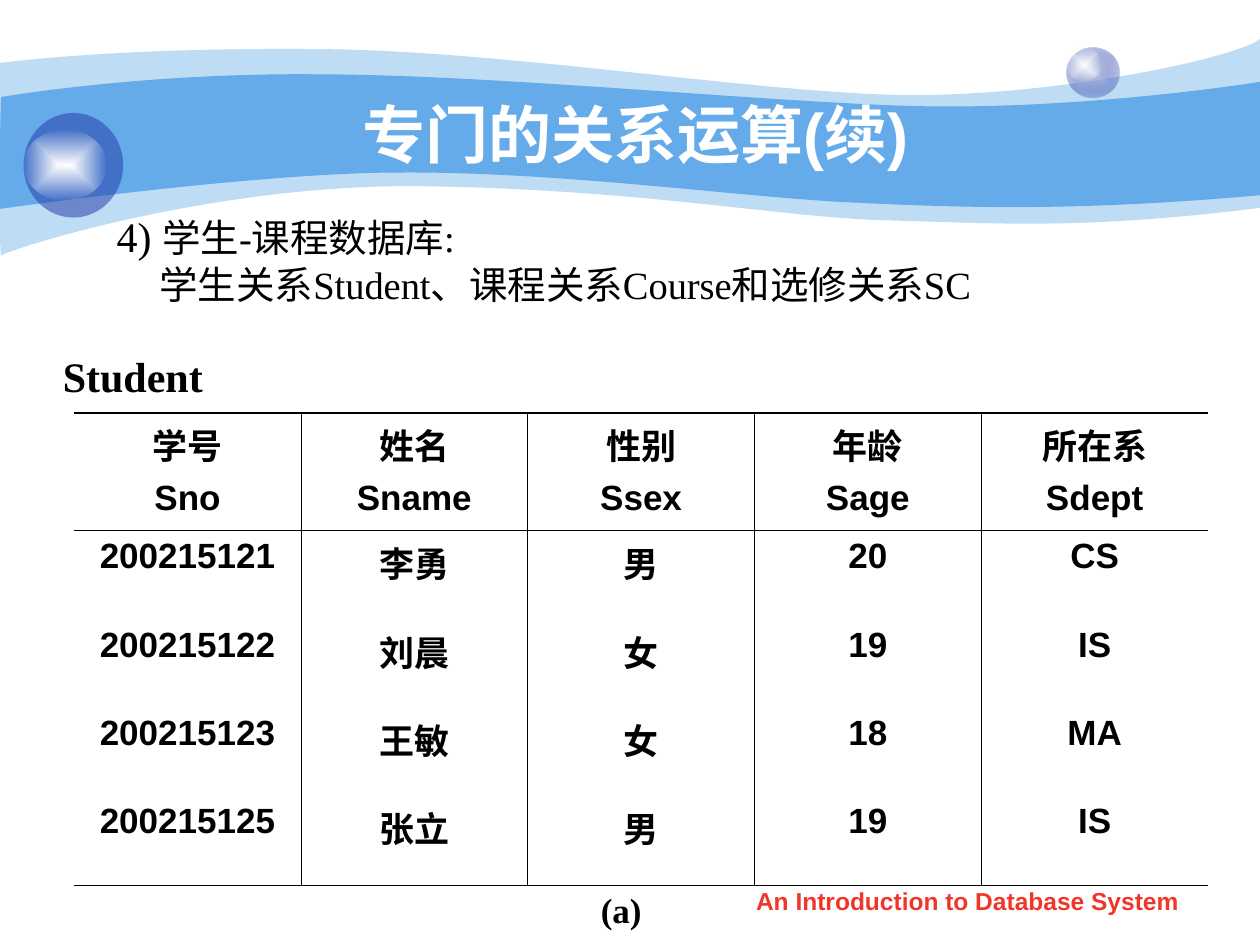
from pptx import Presentation
from pptx.dml.color import RGBColor
from pptx.enum.shapes import MSO_SHAPE
from pptx.enum.text import MSO_ANCHOR, PP_ALIGN
from pptx.oxml import parse_xml
from pptx.oxml.ns import nsdecls, qn
from pptx.util import Inches, Pt

ELLIPSE = MSO_SHAPE.OVAL
TOP, MIDDLE = MSO_ANCHOR.TOP, MSO_ANCHOR.MIDDLE
LEFT, CENTER = PP_ALIGN.LEFT, PP_ALIGN.CENTER

WIDTH, HEIGHT = Inches(10), Inches(7.5)
GRID_COLUMNS, GRID_ROWS = 100, 75
SANS, SERIF = "Arial", "Times New Roman"
BLACK, WHITE, PEARL, RED = "000000", "FFFFFF", "FEFEFE", "F03628"
SKY, INDIGO, LAVENDER = "65AAE9", "233DA9", "C6CCE8"
THIN, THICK = 0.45, 1.08

OUTER_BAND = [
    [(0, 5)],
    [(2.4, 4.7), (10.7, 3.8), (24.7, 3.9)],
    [(38.6, 3.9), (57.5, 7), (69.9, 7.5)],
    [(82.2, 8), (98, 4.7), (100, 3.1)],
    [(100, 16.5)],
    [(85.8, 18.3), (78.7, 17.7), (70.5, 17.5)],
    [(62.2, 17.3), (51.5, 15.1), (34.3, 14.8)],
    [(17.2, 14.4), (0.4, 19.9), (0.1, 20.3)],
    [(-0.1, 20.8), (0, 7.5), (0, 5)],
]
INNER_BAND = [
    [(0.1, 7.7)],
    [(0.2, 7.7), (11, 5.8), (24.8, 5.9)],
    [(38.6, 5.9), (59.5, 8), (71.8, 8.4)],
    [(84.1, 8.8), (97.6, 6.9), (100, 6.5)],
    [(100, 15.5)],
    [(85.3, 16.8), (76.5, 16.5), (68.2, 16.1)],
    [(59.9, 15.8), (44.7, 13.6), (31.7, 13.7)],
    [(20.3, 13.7), (-0.2, 16.6), (-0.1, 16.6)],
    [(0, 16.6), (0, 7.7), (0.1, 7.7)],
]
STUDENT_HEADINGS = [
    ("学号", "Sno"), ("姓名", "Sname"), ("性别", "Ssex"), ("年龄", "Sage"), ("所在系", "Sdept"),
]
STUDENTS = [
    ("200215121", "李勇", "男", "20", "CS"),
    ("200215122", "刘晨", "女", "19", "IS"),
    ("200215123", "王敏", "女", "18", "MA"),
    ("200215125", "张立", "男", "19", "IS"),
]
STUDENT_ROW_HEIGHTS = (9.3, 7.1, 7, 7, 7.1)


def color(value):
    return RGBColor.from_string(value)


def column(count):
    return round(count * WIDTH / GRID_COLUMNS)


def row(count):
    return round(count * HEIGHT / GRID_ROWS)


def place(left, top, width, height):
    return column(left), row(top), column(width), row(height)


def clear_outline(shape):
    shape.line.fill.background()
    shape.shadow.inherit = False


def fill_solid(shape, value, opacity=100):
    shape.fill.solid()
    shape.fill.fore_color.rgb = color(value)
    if opacity < 100:
        tint = shape.element.spPr.find(qn("a:solidFill")).find(qn("a:srgbClr"))
        tint.append(parse_xml(f'<a:alpha {nsdecls("a")} val="{opacity * 1000}"/>'))


def fill_glow(shape, inner, outer, opacity):
    shape.element.spPr.insert(2, parse_xml(
        f'<a:gradFill {nsdecls("a")} rotWithShape="1"><a:gsLst>'
        f'<a:gs pos="0"><a:srgbClr val="{inner}"/></a:gs>'
        f'<a:gs pos="100000"><a:srgbClr val="{outer}">'
        f'<a:alpha val="{opacity * 1000}"/></a:srgbClr></a:gs></a:gsLst>'
        '<a:path path="rect"><a:fillToRect l="50000" t="50000" r="50000" b="50000"/></a:path>'
        '</a:gradFill>'
    ))


def bend_segments(shape, segments):
    lines = iter(list(shape.element.spPr.iter(qn("a:lnTo"))))
    for segment in segments:
        group = [next(lines) for _ in segment]
        if len(group) == 3:
            curve = parse_xml(f'<a:cubicBezTo {nsdecls("a")}/>')
            group[0].addprevious(curve)
            for line in group:
                curve.append(line[0])
                line.getparent().remove(line)


def add_band(page, outline, opacity):
    (x, y), = outline[0]
    segments = outline[1:]
    builder = page.shapes.build_freeform(column(x), row(y))
    builder.add_line_segments(
        [(column(x), row(y)) for segment in segments for x, y in segment], close=True
    )
    band = builder.convert_to_shape()
    bend_segments(band, segments)
    fill_solid(band, SKY, opacity)
    clear_outline(band)


def add_ball(group, area):
    ball = group.shapes.add_shape(ELLIPSE, *place(*area))
    clear_outline(ball)
    return ball


def add_balls(page):
    small = page.shapes.add_group_shape()
    fill_glow(add_ball(small, (84.65, 3.75, 4.2, 4)), LAVENDER, INDIGO, 31)
    fill_glow(add_ball(small, (84.65, 3.75, 2.8, 2.7)), WHITE, PEARL, 0)
    large = page.shapes.add_group_shape()
    fill_solid(add_ball(large, (1.87, 8.97, 7.9, 8.3)), INDIGO, 53)
    fill_glow(add_ball(large, (1.87, 10.3, 6.6, 5.6)), WHITE, PEARL, 0)


def style(font, size, face, value, bold):
    font.size, font.name, font.bold = Pt(size), face, bold
    font.color.rgb = color(value)


def add_label(page, area, text, size, face, value=BLACK, align=CENTER, anchor=TOP):
    box = page.shapes.add_textbox(*place(*area))
    box.text_frame.word_wrap = True
    box.text_frame.vertical_anchor = anchor
    para = box.text_frame.paragraphs[0]
    para.text = text
    para.alignment = align
    style(para.font, size, face, value, True)


def add_introduction(page):
    box = page.shapes.add_textbox(*place(8.28, 16.2, 81.9, 8.7))
    frame = box.text_frame
    frame.word_wrap = True
    opening = frame.paragraphs[0]
    for text, size in (("4) ", 24), ("学生-课程数据库:", 22)):
        span = opening.add_run()
        span.text = text
        style(span.font, size, SERIF, BLACK, False)
    detail = frame.add_paragraph()
    detail.text = "学生关系Student、课程关系Course和选修关系SC"
    detail._p.get_or_add_pPr().set("marL", str(column(3.4)))
    style(detail.font, 22, SERIF, BLACK, False)


def set_borders(cell, widths):
    properties = cell._tc.get_or_add_tcPr()
    for side, width in zip("LRTB", widths):
        paint = f'<a:solidFill><a:srgbClr val="{BLACK}"/></a:solidFill>' if width else "<a:noFill/>"
        properties.append(parse_xml(
            f'<a:ln{side} {nsdecls("a")} w="{Pt(width)}">{paint}</a:ln{side}>'
        ))


def fill_cell(cell, lines):
    cell.text = "\n".join(lines)
    for index, para in enumerate(cell.text_frame.paragraphs):
        para.alignment = CENTER
        para.space_before = Pt(5 if index else 0)
        style(para.font, 20, SANS, BLACK, True)


def add_student_table(page):
    records = [STUDENT_HEADINGS] + [[(value,) for value in student] for student in STUDENTS]
    last_row, last_column = len(records) - 1, len(STUDENT_HEADINGS) - 1
    table = page.shapes.add_table(
        len(records), len(STUDENT_HEADINGS), *place(5.88, 32.77, 90, sum(STUDENT_ROW_HEIGHTS))
    ).table
    table.first_row = table.horz_banding = False
    for y, record in enumerate(records):
        table.rows[y].height = row(STUDENT_ROW_HEIGHTS[y])
        top = {0: THICK, 1: THIN}.get(y, 0)
        bottom = {0: THIN, last_row: THICK}.get(y, 0)
        for x, lines in enumerate(record):
            cell = table.cell(y, x)
            fill_cell(cell, lines)
            set_borders(cell, (THIN if x else 0, THIN if x < last_column else 0, top, bottom))
            cell.fill.background()


def main():
    deck = Presentation()
    deck.slide_width, deck.slide_height = WIDTH, HEIGHT
    page = deck.slides.add_slide(deck.slide_layouts[6])
    add_band(page, OUTER_BAND, 41)
    add_band(page, INNER_BAND, 100)
    add_balls(page)
    add_label(page, (10, 7.5, 80.8, 6.2), "专门的关系运算(续)", 36, SANS, WHITE, anchor=MIDDLE)
    add_label(page, (11.4, 70, 75.8, 4.4), "(a)", 20, SERIF)
    add_label(page, (4, 26.5, 14, 6.7), "Student", 24, SERIF, align=LEFT, anchor=MIDDLE)
    add_introduction(page)
    add_student_table(page)
    add_label(page, (57.1, 69.8, 39.4, 3.5), "An Introduction to Database System", 14, SANS, RED)
    deck.save("out.pptx")


if __name__ == "__main__":
    main()
